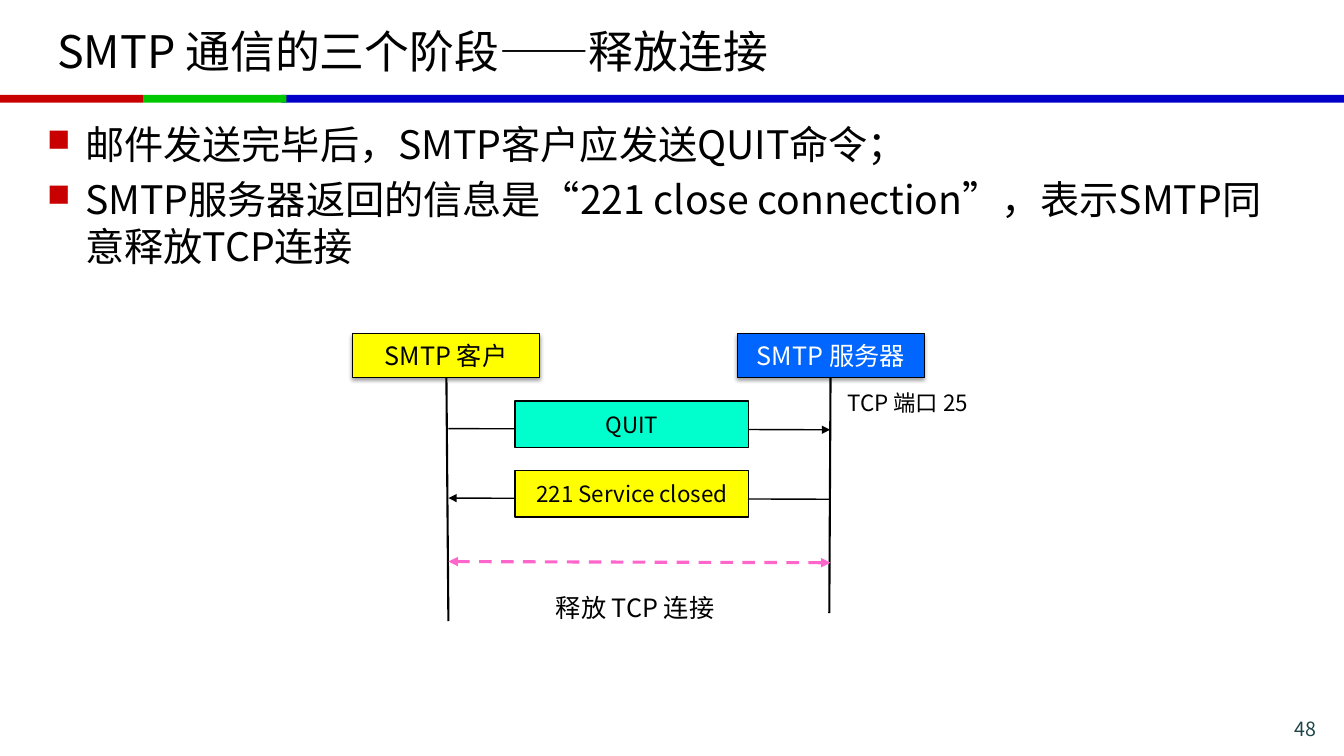
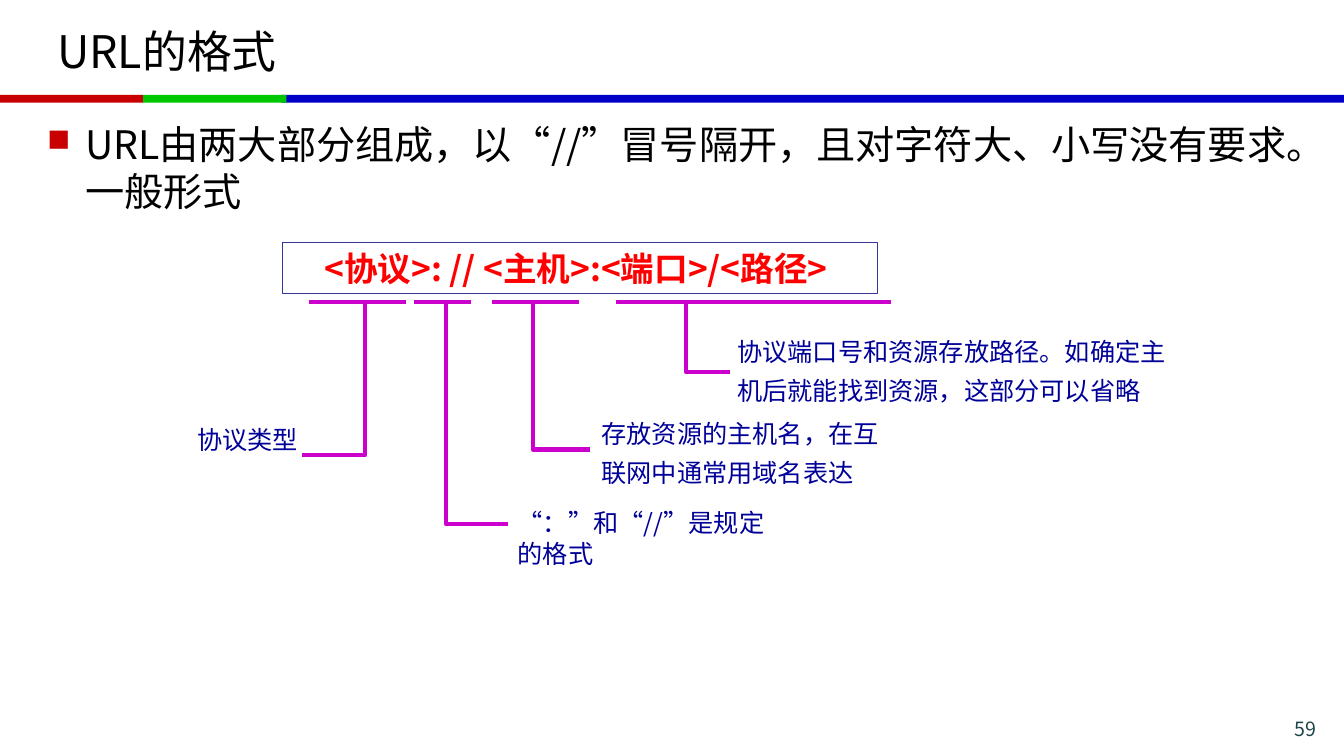
from dataclasses import dataclass

from lxml import etree
from pptx import Presentation
from pptx.dml.color import RGBColor
from pptx.enum.dml import MSO_LINE
from pptx.enum.shapes import MSO_CONNECTOR, MSO_SHAPE
from pptx.enum.text import MSO_ANCHOR, PP_ALIGN
from pptx.oxml.ns import qn
from pptx.util import Cm, Pt

LEFT, CENTER, RIGHT = PP_ALIGN.LEFT, PP_ALIGN.CENTER, PP_ALIGN.RIGHT
TOP, MIDDLE = MSO_ANCHOR.TOP, MSO_ANCHOR.MIDDLE
RECTANGLE, STRAIGHT, DASH = MSO_SHAPE.RECTANGLE, MSO_CONNECTOR.STRAIGHT, MSO_LINE.DASH


@dataclass(frozen=True)
class Theme:
    """Colours, type sizes and page measures shared by the slides."""
    font: str = "Noto Sans CJK SC"
    black: str = "000000"
    white: str = "FFFFFF"
    red: str = "C80000"
    green: str = "00C800"
    blue: str = "0000C8"
    page_number: str = "1E4649"
    client: str = "FFFF00"
    server: str = "0066FF"
    request: str = "00FFCC"
    release: str = "FF66CC"
    formula: str = "FF0000"
    frame: str = "333399"
    leader: str = "CC00CC"
    caption: str = "000099"
    title_size: float = 32
    body_size: float = 28
    formula_size: float = 24
    label_size: float = 18
    message_size: float = 16
    number_size: float = 14
    leading: float = 1.2
    width: float = 33.87
    height: float = 19.05


THEME = Theme()


def add_xml(parent, tag, **attributes):
    """Append a drawing element and return it."""
    return etree.SubElement(parent, qn(tag), attributes)


def write(shape, paragraphs, size, color, align=LEFT, anchor=TOP, bold=False, leading=None):
    """Fill a shape with paragraphs in one type style."""
    frame = shape.text_frame
    frame.text = "\n".join(paragraphs)
    frame.word_wrap = True
    frame.vertical_anchor = anchor
    for paragraph in frame.paragraphs:
        paragraph.alignment = align
        paragraph.line_spacing = Pt(leading or size * THEME.leading)
        for run in paragraph.runs:
            run.font.size = Pt(size)
            run.font.bold = bold
            run.font.color.rgb = RGBColor.from_string(color)
            run.font.name = THEME.font
            add_xml(run._r.get_or_add_rPr(), "a:ea", typeface=THEME.font)
    return frame


def add_text(slide, box, paragraphs, size, color, **style):
    """Place a text box given as left, top, width and height."""
    area = slide.shapes.add_textbox(*map(Cm, box))
    return write(area, paragraphs, size, color, **style)


def add_block(slide, box, fill=None, line=None, weight=0.75):
    """Place a rectangle with optional fill and outline."""
    block = slide.shapes.add_shape(RECTANGLE, *map(Cm, box))
    block.shadow.inherit = False
    if fill:
        block.fill.solid()
        block.fill.fore_color.rgb = RGBColor.from_string(fill)
    else:
        block.fill.background()
    if line:
        block.line.color.rgb = RGBColor.from_string(line)
        block.line.width = Pt(weight)
    else:
        block.line.fill.background()
    return block


def add_soft_shadow(block):
    """Give a block a short shadow straight below it."""
    effects = block._element.spPr.find(qn("a:effectLst"))
    shadow = add_xml(effects, "a:outerShdw", blurRad=str(Pt(3.1)), dist=str(Pt(1.6)),
                     dir="5400000", rotWithShape="0")
    tint = add_xml(shadow, "a:srgbClr", val=THEME.black)
    add_xml(tint, "a:alpha", val="38000")


def add_line(slide, start, end, color, weight, dash=None, heads=()):
    """Draw a straight line, with arrowheads at the named ends."""
    line = slide.shapes.add_connector(STRAIGHT, *map(Cm, (*start, *end)))
    line.line.color.rgb = RGBColor.from_string(color)
    line.line.width = Pt(weight)
    if dash:
        line.line.dash_style = dash
    for head in heads:
        add_xml(line.line._get_or_add_ln(), head, type="triangle")
    add_xml(line._element.spPr, "a:effectLst")


def add_leader(slide, points):
    """Draw an open angled leader through the points."""
    start, *rest = [(Cm(x), Cm(y)) for x, y in points]
    builder = slide.shapes.build_freeform(*start, scale=1.0)
    builder.add_line_segments(rest, close=False)
    leader = builder.convert_to_shape()
    leader.shadow.inherit = False
    leader.fill.background()
    leader.line.color.rgb = RGBColor.from_string(THEME.leader)
    leader.line.width = Pt(3)


def add_bullets(slide, box, points):
    """Place the body text with square red bullets."""
    body = add_text(slide, box, points, THEME.body_size, THEME.black)
    for paragraph in body.paragraphs:
        paragraph.space_before = Pt(THEME.body_size * 0.2)
        properties = paragraph._p.get_or_add_pPr()
        properties.set("marL", str(Cm(0.96)))
        properties.set("indent", str(-Cm(0.96)))
        color = add_xml(properties, "a:buClr")
        add_xml(color, "a:srgbClr", val=THEME.red)
        add_xml(properties, "a:buSzPct", val="80000")
        add_xml(properties, "a:buChar", char="■")


def add_page(deck, title, points, number):
    """Add a slide with bands, title, bullets and page number."""
    slide = deck.slides.add_slide(deck.slide_layouts[6])
    bands = ((7.09, 26.78, THEME.blue), (0, 3.61, THEME.red), (3.61, 3.61, THEME.green))
    for left, width, color in bands:
        add_block(slide, (left, 2.39, width, 0.2), color)
    add_text(slide, (1.19, 0.2, 31.47, 2.13), [title], THEME.title_size, THEME.black,
             anchor=MIDDLE)
    add_bullets(slide, (0.94, 2.92, 32, 5.4), points)
    add_text(slide, (30.12, 17.93, 3.3, 0.71), [str(number)], THEME.number_size,
             THEME.page_number, align=RIGHT)
    return slide


def add_release_sequence(slide, left, top):
    """Draw the client and server exchange that closes the connection."""
    def at(x, y):
        return left + x, top + y

    participants = (
        ("SMTP 客户", 0, THEME.client, THEME.black, 2.36, 2.41, 7.24),
        ("SMTP 服务器", 9.7, THEME.server, THEME.white, 12.04, 12.01, 7.04),
    )
    for name, x, fill, color, line_top, line_foot, foot in participants:
        participant = add_block(slide, (*at(x, 0), 4.7, 1.1), fill, THEME.black)
        add_soft_shadow(participant)
        write(participant, [name], THEME.label_size, color, align=CENTER, anchor=MIDDLE)
        add_line(slide, at(line_top, 1.12), at(line_foot, foot), THEME.black, 1.5)
    add_text(slide, (*at(11.89, 1.27), 4.19, 0.94), ["TCP 端口 25"],
             THEME.message_size, THEME.black, align=CENTER)

    messages = (
        ("QUIT", THEME.request, "a:tailEnd"),
        ("221 Service closed", THEME.client, "a:headEnd"),
    )
    for row, (message, fill, head) in enumerate(messages):
        y = 1.7 + row * 1.75
        add_line(slide, at(2.41, y + 0.69), at(12.03, y + 0.72), THEME.black, 1, heads=[head])
        label = add_block(slide, (*at(4.09, y), 5.89, 1.17), fill, THEME.black, 1)
        write(label, [message], THEME.message_size, THEME.black, align=CENTER, anchor=MIDDLE)

    add_line(slide, at(2.41, 5.74), at(12.04, 5.77), THEME.release, 2.25, DASH,
             ("a:headEnd", "a:tailEnd"))
    add_text(slide, (*at(4.83, 6.38), 4.57, 1.02), ["释放 TCP 连接"],
             THEME.label_size, THEME.black, align=CENTER)


def add_url_anatomy(slide, left, top):
    """Draw the URL pattern with a bar, leader and caption for each part."""
    def at(x, y):
        return left + x, top + y

    pattern = add_block(slide, (*at(2.39, 0), 15.01, 1.27), line=THEME.frame)
    write(pattern, ["<协议>: // <主机>:<端口>/<路径> "], THEME.formula_size, THEME.formula,
          align=CENTER, anchor=MIDDLE, bold=True)

    parts = (
        ("协议类型", (3.07, 5.51), (4.47, 2.9, 5.35), (0, 4.45, 3.2, 1.02), None),
        ("“：”和“//”是规定的格式", (5.72, 7.14), (6.53, 8.08, 7.09),
         (8.08, 6.55, 7.09, 1.02), None),
        ("存放资源的主机名，在互联网中通常用域名表达", (7.67, 9.86), (8.71, 10.16, 5.21),
         (10.19, 4.06, 7.77, 2.16), 28),
        ("协议端口号和资源存放路径。如确定主机后就能找到资源，这部分可以省略",
         (10.8, 17.73), (12.57, 13.67, 3.25), (13.61, 2.01, 11.43, 2.16), 28),
    )
    for caption, (start, end), (stem, tip, foot), (x, y, width, height), leading in parts:
        add_line(slide, at(start, 1.49), at(end, 1.49), THEME.leader, 3)
        add_leader(slide, (at(stem, 1.52), at(stem, foot), at(tip, foot)))
        add_text(slide, (*at(x, y), width, height), [caption], THEME.label_size,
                 THEME.caption, leading=leading)


def main():
    """Build and save the two slides."""
    deck = Presentation()
    deck.slide_width, deck.slide_height = Cm(THEME.width), Cm(THEME.height)
    release = add_page(deck, "SMTP 通信的三个阶段——释放连接", [
        "邮件发送完毕后，SMTP客户应发送QUIT命令；",
        "SMTP服务器返回的信息是“221 close connection”，表示SMTP同意释放TCP连接",
    ], 48)
    add_release_sequence(release, 8.89, 8.41)
    url = add_page(deck, "URL的格式", [
        "URL由两大部分组成，以“//”冒号隔开，且对字符大、小写没有要求。一般形式",
    ], 59)
    add_url_anatomy(url, 4.72, 6.12)
    deck.save("out.pptx")


if __name__ == "__main__":
    main()
